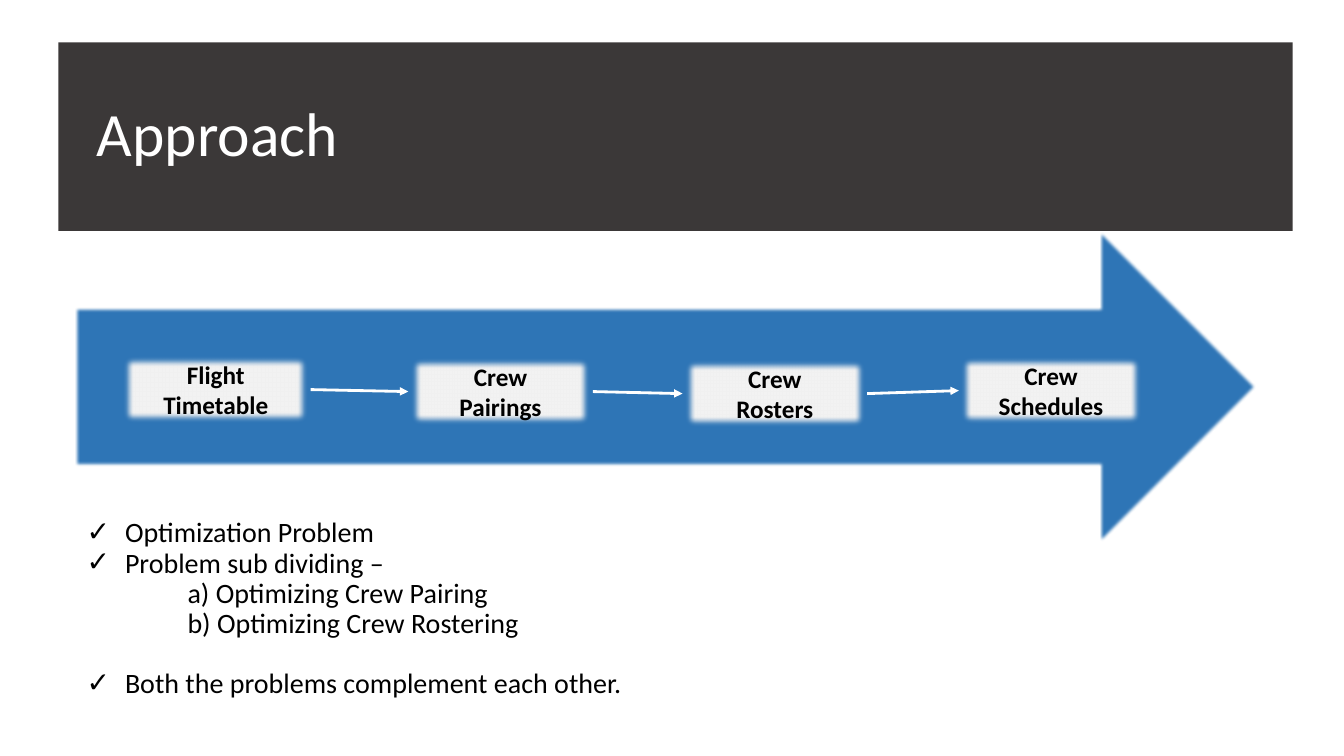
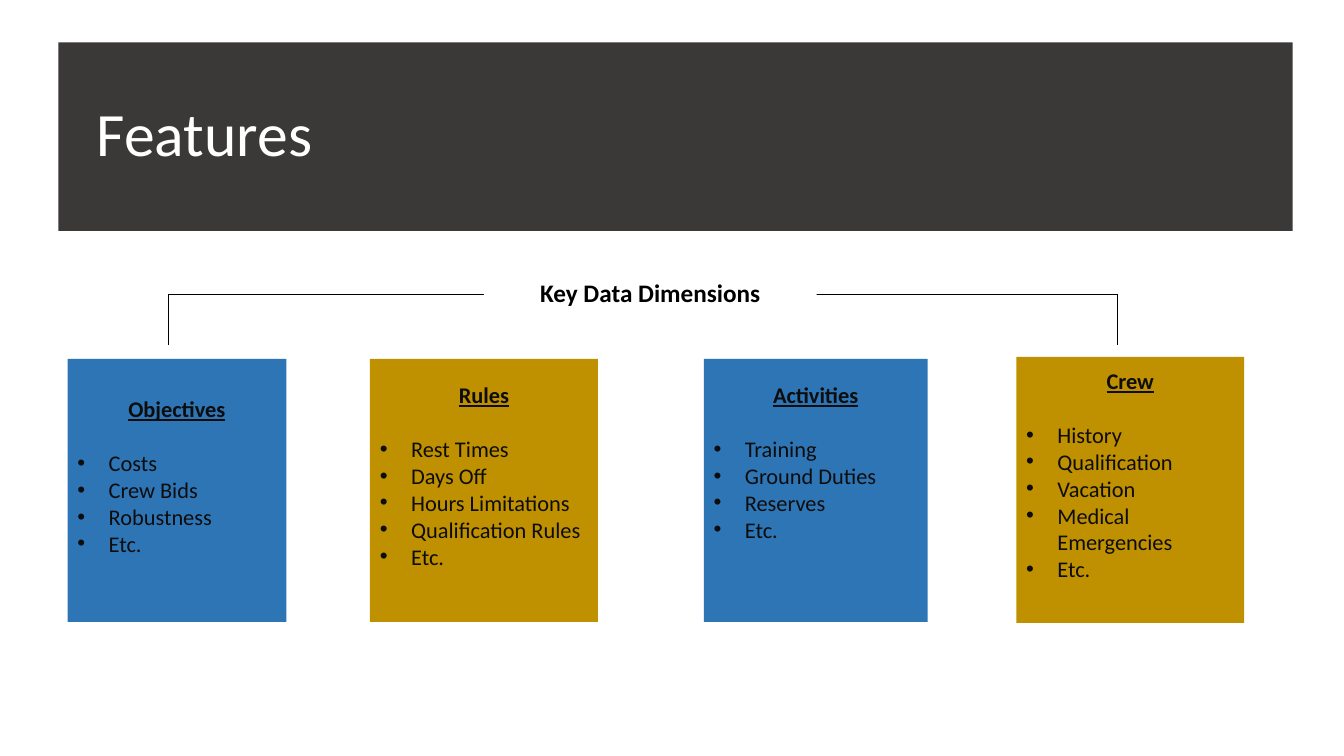
from lxml import etree
from pptx import Presentation
from pptx.dml.color import RGBColor
from pptx.enum.shapes import MSO_CONNECTOR, MSO_SHAPE
from pptx.enum.text import MSO_ANCHOR, MSO_AUTO_SIZE, PP_ALIGN
from pptx.oxml.ns import qn
from pptx.util import Inches, Pt

RECT, RIGHT_ARROW = MSO_SHAPE.RECTANGLE, MSO_SHAPE.RIGHT_ARROW
STRAIGHT = MSO_CONNECTOR.STRAIGHT
TOP, MIDDLE = MSO_ANCHOR.TOP, MSO_ANCHOR.MIDDLE
LEFT, CENTER = PP_ALIGN.LEFT, PP_ALIGN.CENTER
NO_AUTOFIT = MSO_AUTO_SIZE.NONE

FONT = "Calibri"
WHITE = RGBColor(0xFF, 0xFF, 0xFF)
BLACK = RGBColor(0x00, 0x00, 0x00)
CHARCOAL = RGBColor(0x3B, 0x38, 0x38)
BLUE = RGBColor(0x2E, 0x75, 0xB6)
GOLD = RGBColor(0xBF, 0x90, 0x00)
PALE = RGBColor(0xF2, 0xF2, 0xF2)
INK = RGBColor(0x0D, 0x0D, 0x0D)

TITLE = {"size": Pt(44), "color": WHITE, "bold": False}
BODY = {"size": Pt(20), "color": BLACK}
LABEL = {"size": Pt(18), "color": BLACK, "bold": True}
CARD_HEAD = {"size": Pt(16), "color": INK, "bold": True, "underline": True}
CARD_ITEM = {"size": Pt(16), "color": INK}

STEPS = [
    (1.2, 3.51, 1.88, ("Flight", "Timetable")),
    (4.05, 3.53, 1.83, ("Crew", "Pairings")),
    (6.77, 3.55, 1.83, ("Crew", "Rosters")),
    (9.51, 3.52, 1.83, ("Crew", "Schedules")),
]
POINTS = [
    ("Optimization Problem", "✓", 0),
    ("Problem sub dividing –", "✓", 0),
    ("a) Optimizing Crew Pairing", None, 0),
    ("b) Optimizing Crew Rostering", None, 0),
    ("Both the problems complement each other.", "✓", 21.5),
]
CARDS = [
    ((0.67, 3.56, 2.17, 2.61), BLUE, 0.36, "Objectives",
     ["Costs", "Crew Bids", "Robustness", "Etc."]),
    ((3.67, 3.56, 2.26, 2.61), GOLD, 0.22, "Rules",
     ["Rest Times", "Days Off", "Hours Limitations", "Qualification Rules", "Etc."]),
    ((6.98, 3.56, 2.22, 2.61), BLUE, 0.22, "Activities",
     ["Training", "Ground Duties", "Reserves", "Etc."]),
    ((10.08, 3.54, 2.26, 2.64), GOLD, 0.1, "Crew",
     ["History", "Qualification", "Vacation", "Medical Emergencies", "Etc."]),
]
BRACKET = [
    ((1.67, 2.92), (11.08, 2.92)),
    ((1.67, 2.92), (1.67, 3.42)),
    ((11.08, 2.92), (11.08, 3.42)),
]


def place(sp, box):
    """Move and size a shape to a box given in inches."""
    for name, value in zip(("left", "top", "width", "height"), box):
        setattr(sp, name, Inches(value))


def fill_solid(sp, color):
    """Give a shape a plain fill."""
    sp.fill.solid()
    sp.fill.fore_color.rgb = color


def setup_frame(sp, anchor=MIDDLE, **margins):
    """Prepare a text frame with wrapping, an anchor and margins in inches."""
    tf = sp.text_frame
    tf.word_wrap = True
    tf.auto_size = NO_AUTOFIT
    tf.vertical_anchor = anchor
    for side, value in margins.items():
        setattr(tf, "margin_" + side, Inches(value))
    return tf


def add_text(tf, text, style, **layout):
    """Write the next paragraph of a frame in a style."""
    p = tf.paragraphs[0]
    if p.runs:
        p = tf.add_paragraph()
    for name, value in layout.items():
        setattr(p, name, value)
    r = p.add_run()
    r.text = text
    r.font.name = FONT
    for name, value in style.items():
        if name == "color":
            r.font.color.rgb = value
        else:
            setattr(r.font, name, value)
    return p


def set_bullet(p, char, left, hang=0):
    """Set the bullet, or none, and the indents of a paragraph."""
    pPr = p._p.get_or_add_pPr()
    pPr.set("marL", str(Inches(left)))
    pPr.set("indent", str(-Inches(hang)))
    if char:
        etree.SubElement(pPr, qn("a:buFont"), typeface="Arial")
        etree.SubElement(pPr, qn("a:buChar"), char=char)
    else:
        etree.SubElement(pPr, qn("a:buNone"))


def add_shape(s, kind, box, color, soft_edge=0):
    """Add a filled shape without outline or shadow, with an optional soft edge in points."""
    sp = s.shapes.add_shape(kind, *map(Inches, box))
    sp.shadow.inherit = False
    fill_solid(sp, color)
    sp.line.fill.background()
    if soft_edge:
        effects = sp._element.spPr.find(qn("a:effectLst"))
        etree.SubElement(effects, qn("a:softEdge"), rad=str(Pt(soft_edge)))
    return sp


def add_line(s, start, end, color, width):
    """Add a straight line between two points in inches."""
    line = s.shapes.add_connector(STRAIGHT, *map(Inches, start + end))
    line.line.color.rgb = color
    line.line.width = Pt(width)
    etree.SubElement(line._element.spPr, qn("a:effectLst"))
    return line


def join_steps(s, before, after):
    """Draw an arrow from the right side of one box to the left side of the next."""
    line = add_line(s, (0, 0), (1, 1), WHITE, 2)
    line.begin_connect(before, 3)
    line.end_connect(after, 1)
    etree.SubElement(line.line._get_or_add_ln(), qn("a:tailEnd"), type="triangle")


def add_slide(prs, layout, title):
    """Add a slide with the dark title band."""
    s = prs.slides.add_slide(prs.slide_layouts[layout])
    sp = s.shapes.title
    place(sp, (0.58, 0.42, 12.24, 1.87))
    fill_solid(sp, CHARCOAL)
    add_text(setup_frame(sp, left=0.38), title, TITLE, alignment=LEFT, line_spacing=0.9)
    return s


def add_step(s, left, top, width, lines):
    """Add a process box with one paragraph a line."""
    sp = add_shape(s, RECT, (left, top, width, 0.71), PALE, soft_edge=5)
    tf = setup_frame(sp)
    for text in lines:
        add_text(tf, text, LABEL, alignment=CENTER)
    return sp


def add_card(s, box, color, top_margin, heading, items):
    """Add a coloured card with an underlined heading and a bulleted list."""
    sp = add_shape(s, RECT, box, color)
    tf = setup_frame(sp, TOP, top=top_margin)
    add_text(tf, heading, CARD_HEAD, alignment=CENTER)
    for i, text in enumerate(items):
        gap = Pt(0 if i else 19.5)
        p = add_text(tf, text, CARD_ITEM, alignment=LEFT, space_before=gap)
        set_bullet(p, "•", 0.31, 0.31)


def build_approach(prs):
    """Build the process slide with its list of points."""
    s = add_slide(prs, 1, "Approach")
    body = s.placeholders[1]
    place(body, (0.76, 4.65, 11.5, 2.79))
    tf = setup_frame(body)
    for text, char, gap in POINTS:
        p = add_text(tf, text, BODY, line_spacing=0.9, space_before=Pt(gap))
        if char:
            set_bullet(p, char, 0.38, 0.38)
        else:
            set_bullet(p, None, 1)
    add_shape(s, RIGHT_ARROW, (0.75, 2.28, 11.72, 3.12), BLUE, soft_edge=2.5)
    boxes = [add_step(s, *step) for step in STEPS]
    for before, after in zip(boxes, boxes[1:]):
        join_steps(s, before, after)


def build_features(prs):
    """Build the slide with the four data dimension cards."""
    s = add_slide(prs, 5, "Features")
    for start, end in BRACKET:
        add_line(s, start, end, BLACK, 0.5)
    label = add_shape(s, RECT, (4.8, 2.56, 3.3, 0.68), WHITE)
    add_text(setup_frame(label), "Key Data Dimensions", LABEL, alignment=CENTER)
    for card in CARDS:
        add_card(s, *card)


def main():
    """Build and save the presentation."""
    prs = Presentation()
    prs.slide_width, prs.slide_height = Inches(13.33), Inches(7.5)
    build_approach(prs)
    build_features(prs)
    prs.save("out.pptx")


if __name__ == "__main__":
    main()
